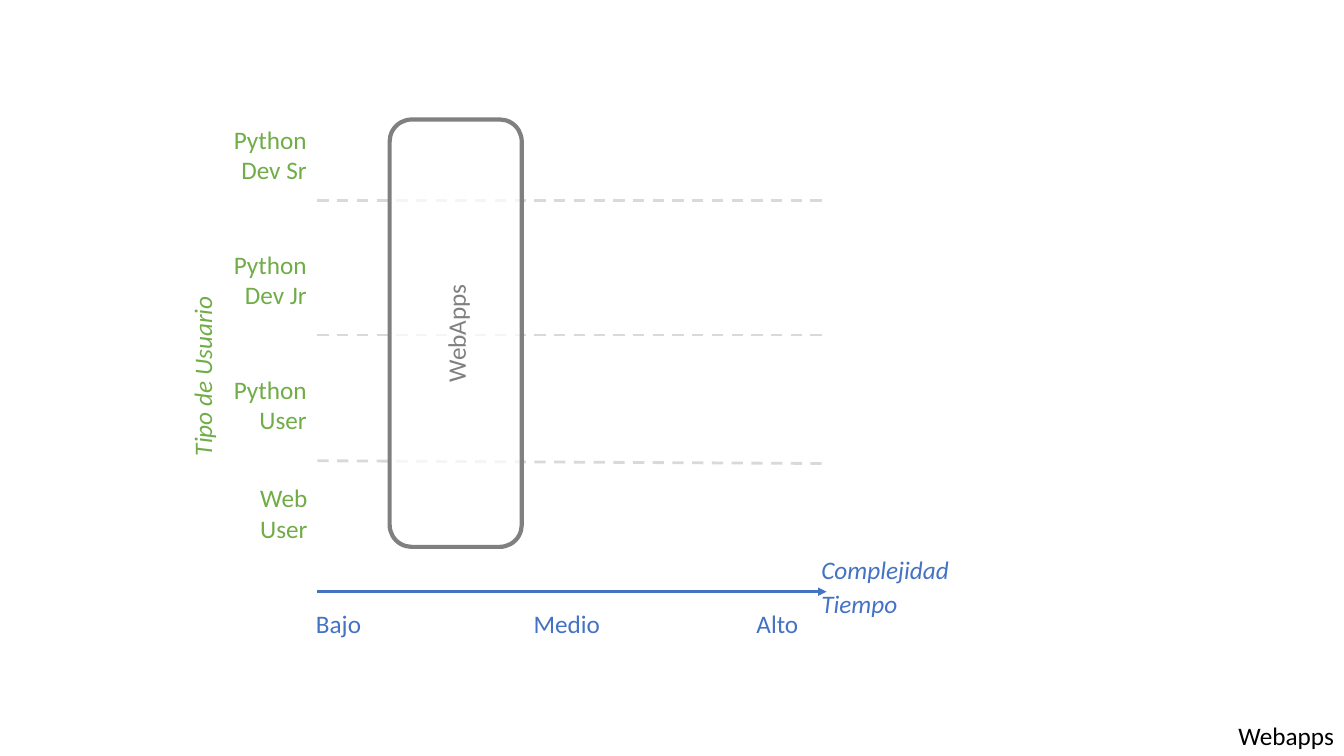
"""Builds the slide that places web apps by user type and complexity."""
from lxml.etree import SubElement
from pptx import Presentation
from pptx.dml.color import RGBColor
from pptx.enum.dml import MSO_LINE
from pptx.enum.shapes import MSO_CONNECTOR, MSO_SHAPE
from pptx.enum.text import MSO_ANCHOR, PP_ALIGN
from pptx.oxml.ns import qn
from pptx.util import Cm, Pt

GREEN, BLUE, GRAY, PALE = "70AD47", "4472C4", "808080", "D9D9D9"
LEFT, RIGHT = 8, 20.83


def paint(tone):
    return RGBColor.from_string(tone)


def write(text, left=0, top=0, width=1, tone=BLUE, italic=False,
          align=PP_ALIGN.RIGHT, turn=0, shape=None):
    lines = text.split("\n")
    if shape is None:
        height = 0.25 + 0.775 * len(lines)
        shape = slide.shapes.add_textbox(Cm(left), Cm(top), Cm(width), Cm(height))
        shape.text_frame.word_wrap = False
    shape.rotation = turn
    frame = shape.text_frame
    for spot, line in enumerate(lines):
        para = frame.add_paragraph() if spot else frame.paragraphs[0]
        para.alignment = align
        run = para.add_run()
        run.text = line
        font = run.font
        font.name, font.size, font.italic = "Calibri", Pt(18), italic
        font.color.rgb = paint(tone)


deck = Presentation()
deck.slide_width, deck.slide_height = Cm(33.87), Cm(19.05)
slide = deck.slides.add_slide(deck.slide_layouts[6])

users = [
    ("Web\nUser", 6.27, 12.04, 1.73),
    ("Python\nUser", 5.62, 9.3, 2.36),
    ("Python\nDev Jr", 5.62, 6.15, 2.36),
    ("Python\nDev Sr", 5.62, 3, 2.36),
]
for text, left, top, width in users:
    write(text, left, top, width, tone=GREEN)

rules = [
    (5.05, 5.05, PALE),
    (8.44, 8.44, PALE),
    (11.61, 11.68, PALE),
    (14.91, 14.91, BLUE),
]
for start, end, tone in rules:
    rule = slide.shapes.add_connector(
        MSO_CONNECTOR.STRAIGHT, Cm(LEFT), Cm(start), Cm(RIGHT), Cm(end))
    rule.line.color.rgb = paint(tone)
    rule.line.width = Pt(2)
    if tone == PALE:
        rule.line.dash_style = MSO_LINE.DASH
    else:
        SubElement(rule.line._get_or_add_ln(), qn("a:tailEnd"), type="triangle")
    SubElement(rule._element.spPr, qn("a:effectLst"))

write("Tiempo", 20.45, 14.71, 2.44, italic=True, align=PP_ALIGN.LEFT)
write("Complejidad", 20.45, 13.84, 3.78, italic=True, align=PP_ALIGN.LEFT)
for text, left, width in [("Bajo", 7.7, 1.65), ("Medio", 13.16, 2.21), ("Alto", 18.8, 1.57)]:
    write(text, left, 15.2, width)
write("Tipo de Usuario", 2.79, 9.02, 4.62, tone=GREEN, italic=True, turn=270)

panel = slide.shapes.add_shape(
    MSO_SHAPE.ROUNDED_RECTANGLE, Cm(6.1), Cm(6.73), Cm(10.77), Cm(3.33))
panel.shadow.inherit = False
panel.fill.solid()
panel.fill.fore_color.rgb = paint("FFFFFF")
tint = panel._element.spPr.find(qn("a:solidFill")).find(qn("a:srgbClr"))
SubElement(tint, qn("a:alpha"), val="75000")
panel.line.color.rgb = paint(GRAY)
panel.line.width = Pt(3)
panel.text_frame.vertical_anchor = MSO_ANCHOR.MIDDLE
write("WebApps", tone=GRAY, align=PP_ALIGN.CENTER, turn=270, shape=panel)

write("Webapps", 30.96, 18.03, 2.95, tone="000000", align=PP_ALIGN.LEFT)

deck.save("out.pptx")
